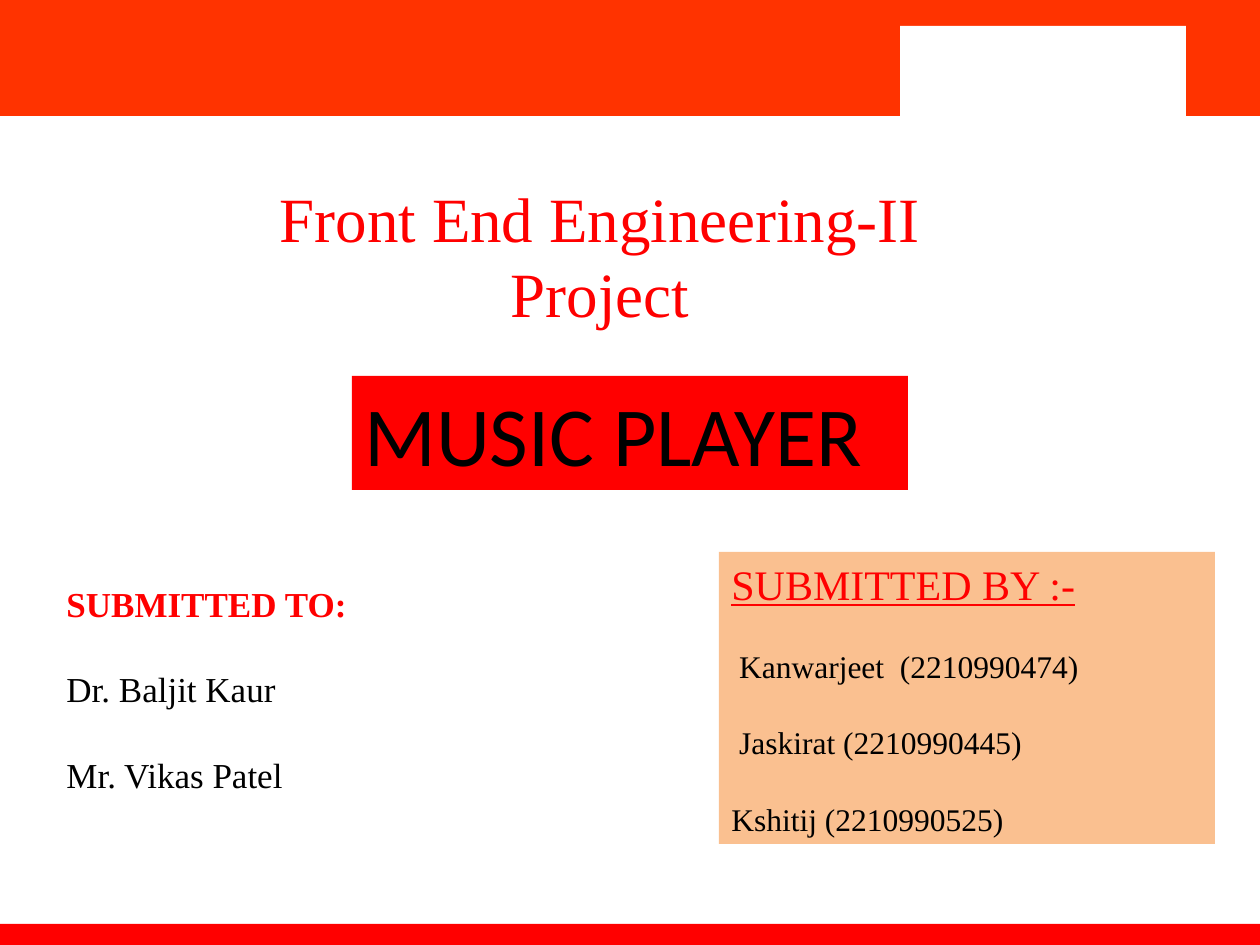
"""Build the cover slide of the music player project."""
import pptx
import pptx.util
import pptx.dml.color
import pptx.enum.shapes
import pptx.enum.text

PX = 914400 / 126
HUES = {"band": "FF3300", "red": "FF0000", "white": "FFFFFF",
        "peach": "FAC090", "black": "000000"}
SERIF = "Times New Roman"


def place(item, box, fill=None):
    item.left, item.top, item.width, item.height = [round(n * PX) for n in box]
    if fill:
        item.shadow.inherit = False
        item.fill.solid()
        item.fill.fore_color.rgb = pptx.dml.color.RGBColor.from_string(HUES[fill])
        item.line.fill.background()


def write(item, lines, face, align="LEFT", gap=0):
    frame = item.text_frame
    frame.text = "\n".join(text for text, size, hue in lines)
    frame.word_wrap = True
    frame.auto_size = pptx.enum.text.MSO_AUTO_SIZE.NONE
    frame.vertical_anchor = pptx.enum.text.MSO_ANCHOR.TOP
    for row, (para, (text, size, hue)) in enumerate(zip(frame.paragraphs, lines)):
        para.alignment = pptx.enum.text.PP_ALIGN[align]
        para.space_before = pptx.util.Pt(gap if row else 0)
        font = para.runs[0].font
        font.name = face
        font.size = pptx.util.Pt(size)
        font.color.rgb = pptx.dml.color.RGBColor.from_string(HUES[hue])


deck = pptx.Presentation()
deck.slide_width, deck.slide_height = round(1260 * PX), round(945 * PX)
slide = deck.slides.add_slide(deck.slide_layouts[5])
shapes = slide.shapes
rect = pptx.enum.shapes.MSO_SHAPE.RECTANGLE

for box, fill in [
    ((0, 0, 1260, 116), "band"),
    ((0, 924, 1260, 28), "red"),
    ((847, 0, 413, 116), "band"),
    ((900, 26, 286, 95), "white"),
]:
    place(shapes.add_shape(rect, 0, 0, 0, 0), box, fill)

title = shapes.title
place(title, (144, 173, 912, 165))
write(title, [("Front End Engineering-II", 36, "red"), ("Project", 36, "red")],
      SERIF, "CENTER")

team = shapes.add_shape(rect, 0, 0, 0, 0)
place(team, (719, 552, 496, 292), "peach")
write(team, [
    ("SUBMITTED BY :-", 24, "red"),
    (" Kanwarjeet  (2210990474)", 18, "black"),
    (" Jaskirat (2210990445)", 18, "black"),
    ("Kshitij (2210990525)", 18, "black"),
], SERIF, gap=22)
team.text_frame.paragraphs[0].runs[0].font.underline = True

staff = shapes.add_textbox(0, 0, 0, 0)
place(staff, (54, 576, 418, 369))
write(staff, [
    ("SUBMITTED TO:", 20, "red"),
    ("Dr. Baljit Kaur", 20, "black"),
    ("Mr. Vikas Patel", 20, "black"),
], SERIF, gap=25)
staff.text_frame.paragraphs[0].runs[0].font.bold = True

name = shapes.add_shape(rect, 0, 0, 0, 0)
place(name, (352, 376, 556, 114), "red")
write(name, [("MUSIC PLAYER", 48, "black")], "Calibri")

deck.save("out.pptx")
